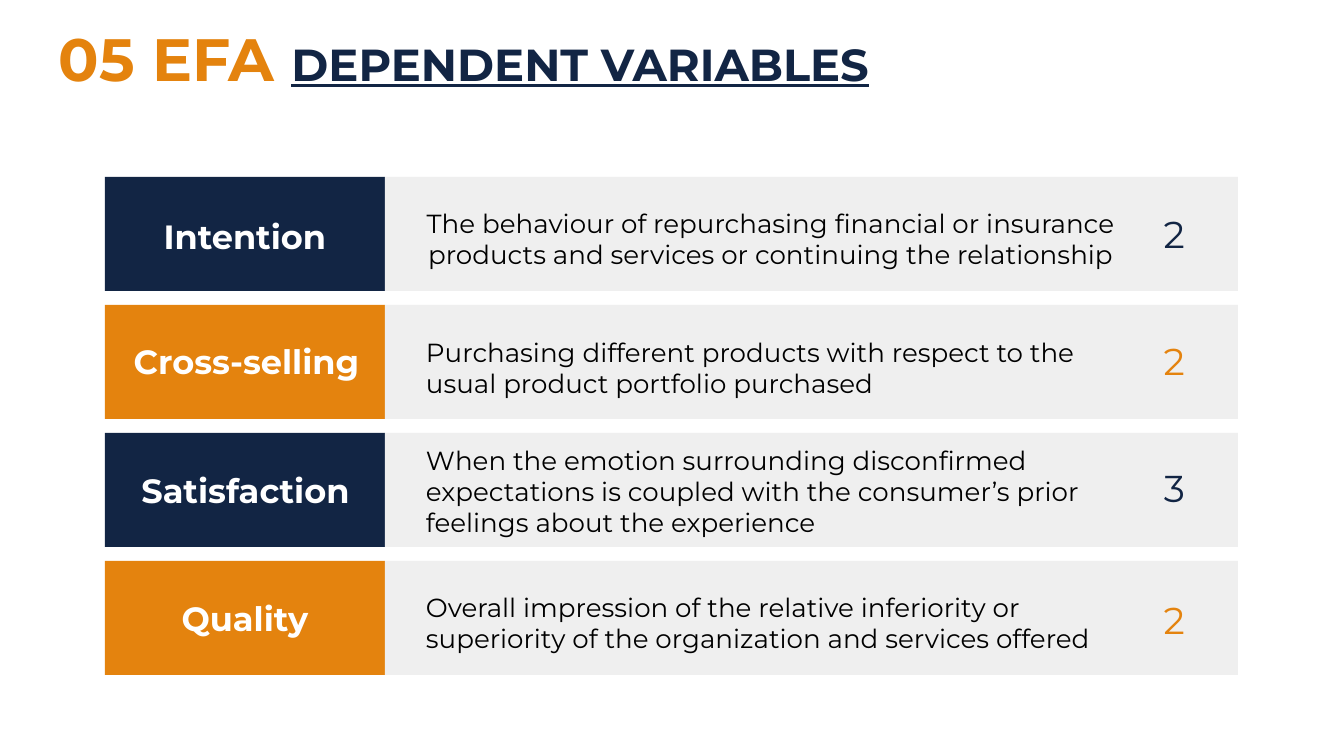
from collections import namedtuple
from dataclasses import dataclass

from pptx import Presentation
from pptx.dml.color import RGBColor
from pptx.enum.shapes import MSO_SHAPE
from pptx.enum.text import MSO_ANCHOR, MSO_AUTO_SIZE, PP_ALIGN
from pptx.util import Pt

RECTANGLE = MSO_SHAPE.RECTANGLE
TOP, BOTTOM = MSO_ANCHOR.TOP, MSO_ANCHOR.BOTTOM
NO_AUTOFIT = MSO_AUTO_SIZE.NONE
LEFT, CENTER, RIGHT = PP_ALIGN.LEFT, PP_ALIGN.CENTER, PP_ALIGN.RIGHT

SLIDE_WIDTH, SLIDE_HEIGHT = 1344, 756
EMU_PER_PX = 9144000 / SLIDE_WIDTH
TITLE_ONLY_LAYOUT = 5
ROW_TOP, ROW_PITCH, ROW_HEIGHT = 177, 128, 114
LABEL_LEFT, LABEL_WIDTH = 105, 280
PANEL_LEFT, PANEL_WIDTH = 385, 853


@dataclass(frozen=True)
class Theme:
    font: str = "Montserrat"
    navy: str = "122544"
    orange: str = "E4830E"
    panel: str = "EFEFEF"
    white: str = "FFFFFF"
    black: str = "000000"
    number_size: int = 32
    heading_size: int = 24
    label_size: int = 18
    body_size: int = 14
    count_size: int = 20


Variable = namedtuple("Variable", "name label_box description description_top "
                      "description_height alignment count count_top")

VARIABLES = [
    Variable("Intention", (145, 203, 200, 63),
             "The behaviour of repurchasing financial or insurance products "
             "and services or continuing the relationship",
             194, 81, CENTER, "2", 204),
    Variable("Cross-selling", (113, 328, 267, 63),
             "Purchasing different products with respect to the usual product "
             "portfolio purchased",
             323, 81, LEFT, "2", 331),
    Variable("Satisfaction", (118, 457, 255, 67),
             "When the emotion surrounding disconfirmed expectations is coupled "
             "with the consumer’s prior feelings about the experience",
             431, 113, LEFT, "3", 458),
    Variable("Quality", (145, 585, 200, 69),
             "Overall impression of the relative inferiority or superiority of "
             "the organization and services offered",
             578, 81, LEFT, "2", 590),
]


def px(length):
    return round(length * EMU_PER_PX)


class SlideBuilder:
    def __init__(self, slide, theme):
        self.slide = slide
        self.theme = theme

    def rectangle(self, box, color):
        shape = self.slide.shapes.add_shape(RECTANGLE, *map(px, box))
        shape.shadow.inherit = False
        shape.fill.solid()
        shape.fill.fore_color.rgb = RGBColor.from_string(color)
        shape.line.fill.background()

    def fill_text(self, shape, runs, alignment=LEFT, anchor=TOP, inset=13):
        frame = shape.text_frame
        frame_format = {"word_wrap": True, "auto_size": NO_AUTOFIT,
                        "vertical_anchor": anchor,
                        "margin_left": px(13), "margin_right": px(13),
                        "margin_top": px(inset), "margin_bottom": px(inset)}
        for name, value in frame_format.items():
            setattr(frame, name, value)
        paragraph = frame.paragraphs[0]
        paragraph.alignment = alignment
        for text, size, color, font_format in runs:
            run = paragraph.add_run()
            run.text = text
            run.font.color.rgb = RGBColor.from_string(color)
            values = {"name": self.theme.font, "size": Pt(size), **font_format}
            for name, value in values.items():
                setattr(run.font, name, value)

    def title(self, box, runs):
        shape = self.slide.shapes.title
        for name, value in zip(("left", "top", "width", "height"), box):
            setattr(shape, name, px(value))
        self.fill_text(shape, runs, anchor=BOTTOM)

    def text(self, box, text, size, color, alignment=LEFT, inset=13, **font_format):
        shape = self.slide.shapes.add_textbox(*map(px, box))
        self.fill_text(shape, [(text, size, color, font_format)], alignment,
                       inset=inset)

    def variable_row(self, index, variable):
        theme = self.theme
        accent = (theme.navy, theme.orange)[index % 2]
        top = ROW_TOP + index * ROW_PITCH
        self.rectangle((LABEL_LEFT, top, LABEL_WIDTH, ROW_HEIGHT), accent)
        self.rectangle((PANEL_LEFT, top, PANEL_WIDTH, ROW_HEIGHT), theme.panel)
        self.text(variable.label_box, variable.name, theme.label_size,
                  theme.white, CENTER, bold=True)
        self.text((413, variable.description_top, 716, variable.description_height),
                  variable.description, theme.body_size, theme.black,
                  variable.alignment)
        self.text((1129, variable.count_top, 69, 59), variable.count,
                  theme.count_size, accent, RIGHT, inset=7)


def main():
    presentation = Presentation()
    presentation.slide_width = px(SLIDE_WIDTH)
    presentation.slide_height = px(SLIDE_HEIGHT)
    layout = presentation.slide_layouts[TITLE_ONLY_LAYOUT]
    theme = Theme()
    builder = SlideBuilder(presentation.slides.add_slide(layout), theme)
    builder.title((46, 43, 1004, 63), [
        ("05 EFA ", theme.number_size, theme.orange, {"bold": True}),
        ("DEPENDENT VARIABLES", theme.heading_size, theme.navy,
         {"bold": True, "underline": True}),
    ])
    for index, variable in enumerate(VARIABLES):
        builder.variable_row(index, variable)
    presentation.save("out.pptx")


if __name__ == "__main__":
    main()
